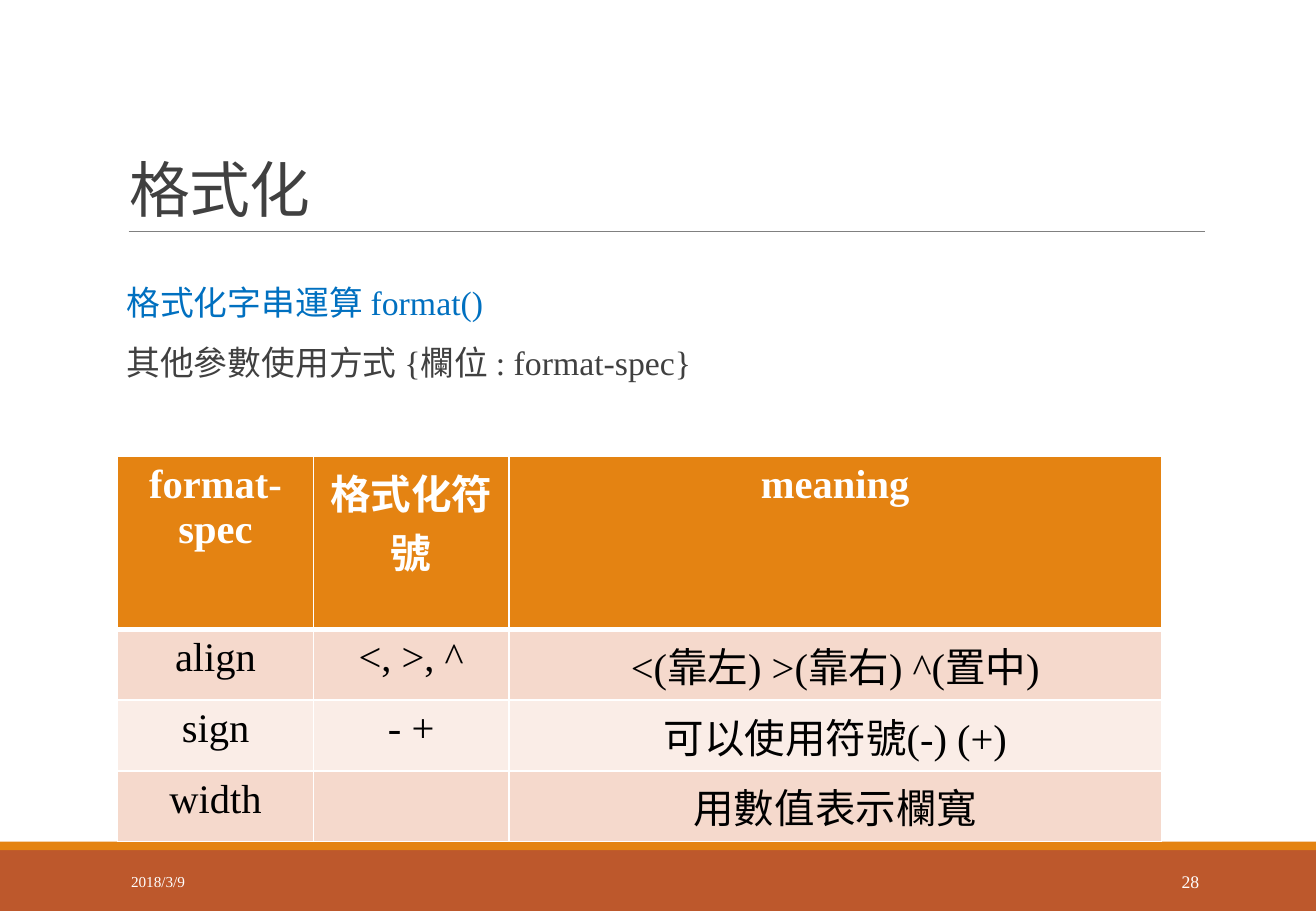
from lxml import etree
from pptx import Presentation
from pptx.dml.color import RGBColor
from pptx.enum import shapes, text
from pptx.oxml.ns import qn
from pptx.util import Cm, Pt

FONT = "Times New Roman"
WHITE, DARK, ORANGE, RUST = "FFFFFF", "404040", "E48312", "BD582C"
WIDTH, HEIGHT = 27.51, 19.05
ROWS = [
    ("format-spec", "格式化符號", "meaning"),
    ("align", "<, >, ^", "<(靠左) >(靠右) ^(置中)"),
    ("sign", "- +", "可以使用符號(-) (+)"),
    ("width", "", "用數值表示欄寬"),
]


def rgb(color):
    return RGBColor.from_string(color)


def write(p, words, size, color, bold=False, align=text.PP_ALIGN.LEFT):
    p.text = words
    p.alignment = align
    for r in p.runs:
        r.font.name, r.font.size, r.font.bold = FONT, Pt(size), bold
        r.font.color.rgb = rgb(color)


def place(sp, x, y, w, h):
    sp.left, sp.top, sp.width, sp.height = Cm(x), Cm(y), Cm(w), Cm(h)


def add_band(s, x, y, w, h, color):
    sp = s.shapes.add_shape(shapes.MSO_SHAPE.RECTANGLE, Cm(x), Cm(y), Cm(w), Cm(h))
    sp.shadow.inherit = False
    sp.fill.solid()
    sp.fill.fore_color.rgb = rgb(color)
    sp.line.fill.background()


def add_label(s, x, y, w, h, words, size, align):
    tf = s.shapes.add_textbox(Cm(x), Cm(y), Cm(w), Cm(h)).text_frame
    tf.word_wrap = True
    tf.vertical_anchor = text.MSO_ANCHOR.MIDDLE
    write(tf.paragraphs[0], words, size, WHITE, align=align)


def add_footer(s, x, y, w, h):
    stripe = 0.18
    add_band(s, x, y + stripe, w, h - stripe, RUST)
    add_band(s, x, y, w, stripe, ORANGE)
    add_label(s, x + 2.49, y + 0.33, 5.59, 1.02, "2018/3/9", 9, text.PP_ALIGN.LEFT)
    add_label(s, x + 22.35, y + 0.33, 2.97, 1.02, "28", 10.5, text.PP_ALIGN.RIGHT)


def add_title(s, x, y, w, h):
    sp = s.shapes.title
    place(sp, x, y, w, h)
    tf = sp.text_frame
    tf.vertical_anchor = text.MSO_ANCHOR.BOTTOM
    p = tf.paragraphs[0]
    write(p, "格式化", 36, DARK)
    p.line_spacing = 0.85
    p.runs[0].font._element.set("spc", "-50")
    # Rule under the title
    rule = s.shapes.add_connector(shapes.MSO_CONNECTOR.STRAIGHT,
                                  Cm(x + 0.23), Cm(y + h), Cm(x + w), Cm(y + h))
    rule.line.color.rgb = rgb("808080")
    rule.line.width = Pt(0.5)
    etree.SubElement(rule._element.spPr, qn("a:effectLst"))


def add_body(s, x, y, w, h):
    sp = s.placeholders[1]
    place(sp, x, y, w, h)
    tf = sp.text_frame
    tf.margin_left = tf.margin_right = 0
    lines = [("格式化字串運算 format()", "0070C0"),
             ("其他參數使用方式 {欄位 : format-spec}", DARK)]
    for i, (words, color) in enumerate(lines):
        p = tf.add_paragraph() if i else tf.paragraphs[0]
        write(p, words, 20, color)
        p.line_spacing, p.space_before, p.space_after = 0.9, Pt(12), Pt(2)
        pPr = p._p.get_or_add_pPr()
        pPr.set("marL", str(Cm(0.18)))
        pPr.set("indent", "0")
        etree.SubElement(pPr, qn("a:buNone"))


def add_border(cell, side, width):
    ln = etree.Element(qn(f"a:ln{side}"), w=str(Pt(width)))
    fill = etree.SubElement(ln, qn("a:solidFill"))
    etree.SubElement(fill, qn("a:srgbClr"), val=WHITE)
    return ln


def add_format_table(s, x, y, w, h):
    head, narrow = 3.61, 4.09
    row_h = (h - head) / (len(ROWS) - 1)
    table = s.shapes.add_table(len(ROWS), 3, Cm(x), Cm(y), Cm(w), Cm(h)).table
    for col, width in zip(table.columns, (narrow, narrow, w - 2 * narrow)):
        col.width = Cm(width)
    for i, row in enumerate(ROWS):
        table.rows[i].height = Cm(row_h if i else head)
        fill = ("FAEDE7", "F5D9CC")[i % 2] if i else ORANGE
        for j, words in enumerate(row):
            cell = table.cell(i, j)
            write(cell.text_frame.paragraphs[0], words, 24, "000000" if i else WHITE,
                  bold=not i, align=text.PP_ALIGN.CENTER)
            cell.fill.solid()
            cell.fill.fore_color.rgb = rgb(fill)
            # Borders go before the fill, thicker around the header's lower edge
            widths = {"L": 1, "R": 1, "T": 3 if i == 1 else 1, "B": 1 if i else 3}
            for k, (side, width) in enumerate(widths.items()):
                cell._tc.get_or_add_tcPr().insert(k, add_border(cell, side, width))


def main():
    prs = Presentation()
    prs.slide_width, prs.slide_height = Cm(WIDTH), Cm(HEIGHT)
    s = prs.slides.add_slide(prs.slide_layouts[1])
    add_footer(s, 0, 17.6, WIDTH, HEIGHT - 17.6)
    add_title(s, 2.46, 0.79, 22.73, 4.04)
    add_body(s, 2.46, 5.85, 24.36, 11.75)
    add_format_table(s, 2.46, 9.55, 21.82, 8.05)
    prs.save("out.pptx")


if __name__ == "__main__":
    main()
